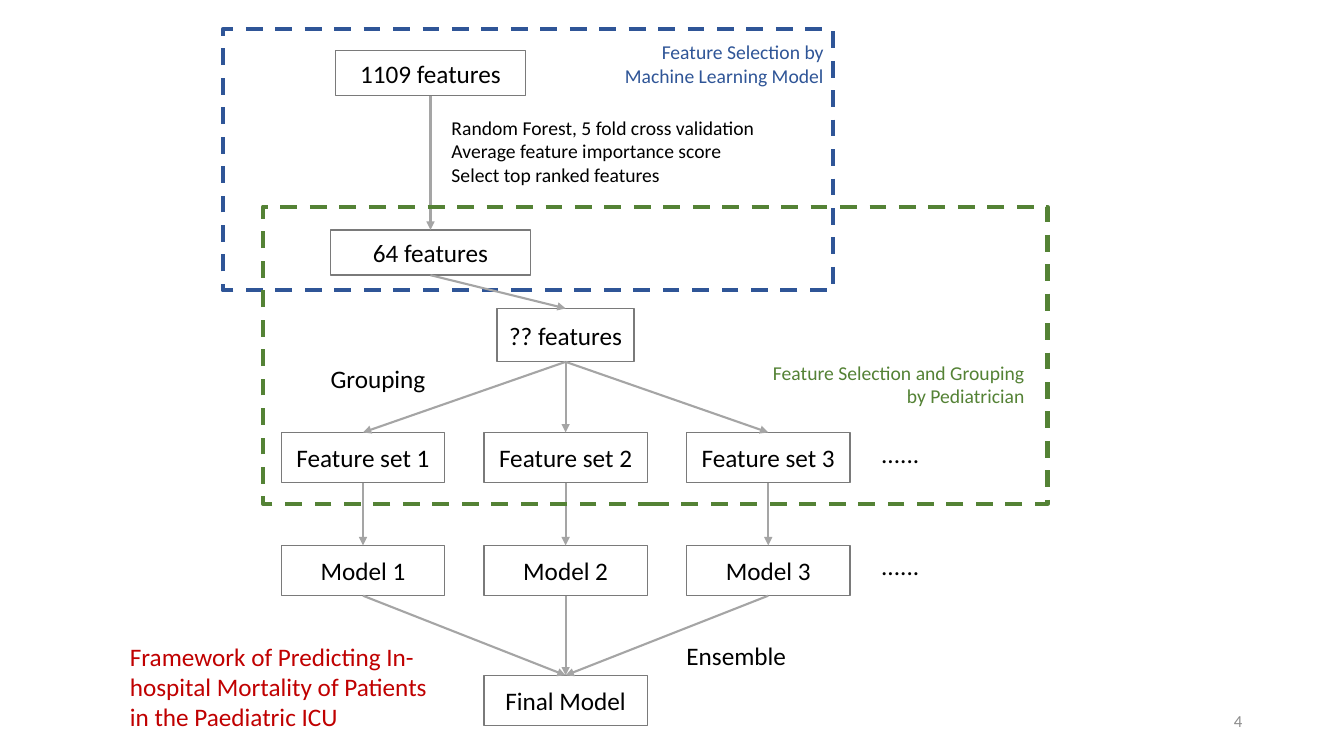
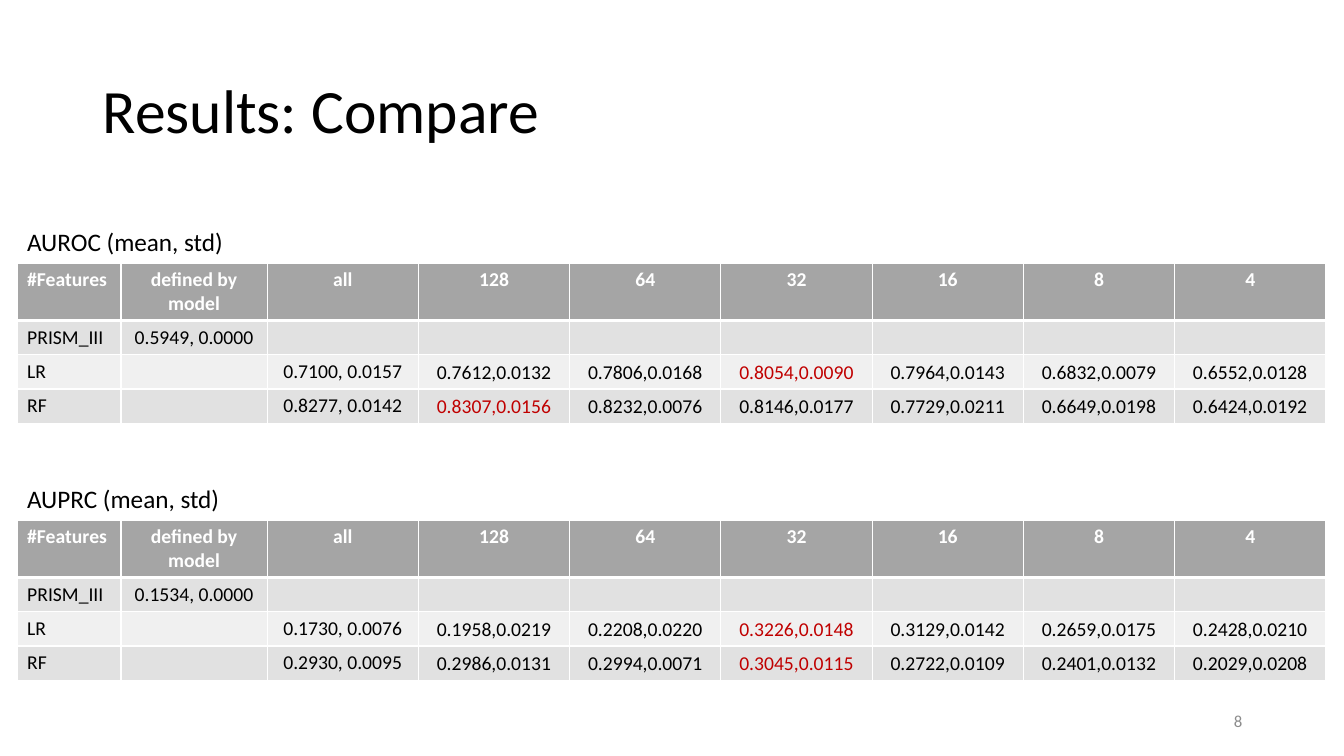
"""Build the framework diagram and the results comparison slide."""
from dataclasses import dataclass

from lxml import etree
from pptx import Presentation
from pptx.dml.color import RGBColor
from pptx.enum.dml import MSO_LINE
from pptx.enum.shapes import MSO_CONNECTOR, MSO_SHAPE
from pptx.enum.text import MSO_ANCHOR, MSO_AUTO_SIZE, PP_ALIGN
from pptx.oxml.ns import qn
from pptx.shapes.autoshape import Shape
from pptx.slide import Slide
from pptx.table import _Cell
from pptx.text.text import TextFrame, _Paragraph
from pptx.util import Inches, Pt

LEFT, CENTER, RIGHT = PP_ALIGN.LEFT, PP_ALIGN.CENTER, PP_ALIGN.RIGHT
TOP, MIDDLE = MSO_ANCHOR.TOP, MSO_ANCHOR.MIDDLE
RECTANGLE, STRAIGHT, DASH = MSO_SHAPE.RECTANGLE, MSO_CONNECTOR.STRAIGHT, MSO_LINE.DASH
FIT_SHAPE = MSO_AUTO_SIZE.SHAPE_TO_FIT_TEXT
TOP_SIDE, BOTTOM_SIDE = 0, 2

FONT = "Calibri"
COLORS = {
    "text": "000000",
    "white": "FFFFFF",
    "blue": "2F5597",
    "green": "548235",
    "red": "C00000",
    "outline": "7A7A7A",
    "gray": "A5A5A5",
    "footer": "8C8C8C",
    "odd_row": "E1E1E1",
    "even_row": "F0F0F0",
}

BRANCH_CENTERS = [3.6 + 2.01 * i for i in range(3)]
MAIN_CENTER = BRANCH_CENTERS[1]
START_CENTER = 4.27
BRANCH_WIDTH, BRANCH_HEIGHT = 1.62, 0.5

COLUMN_WIDTHS = [1.03, 1.45] + [1.5] * 7
HEADER = ["#Features", "defined by model", "all", "128", "64", "32", "16", "8", "4"]
HEADER_HEIGHT, ROW_HEIGHT = 0.57, 0.34
FIRST_TIGHT_COLUMN = 3


@dataclass(frozen=True)
class Label:
    """Free text with its place and style."""
    left: float
    top: float
    width: float
    height: float
    lines: tuple[str, ...]
    size: int = 18
    color: str = "text"
    align: PP_ALIGN = LEFT
    wrap: bool = False


@dataclass(frozen=True)
class Frame:
    """Dashed outline around one stage of the framework."""
    left: float
    top: float
    width: float
    height: float
    color: str


@dataclass(frozen=True)
class Score:
    """Caption, rows and best cells of one metric."""
    caption: str
    top: float
    width: float
    rows: tuple[tuple[str, ...], ...]
    best: tuple[tuple[int, int], ...]


ML_FRAME = Frame(2.21, 0.29, 6.05, 2.59, "blue")
PEDIATRICIAN_FRAME = Frame(2.61, 2.05, 7.78, 2.95, "green")

FRAMEWORK_LABELS = [
    Label(4.38, 1.1, 3.24, 0.81, (
        "Random Forest, 5 fold cross validation",
        "Average feature importance score",
        "Select top ranked features"), 14),
    Label(5.8, 0.35, 2.47, 0.57, ("Feature Selection by Machine Learning Model",),
          14, "blue", RIGHT, True),
    Label(3.18, 3.56, 1.16, 0.4, ("Grouping",)),
    Label(8.64, 4.3, 0.58, 0.4, ("......",)),
    Label(8.64, 5.41, 0.58, 0.4, ("......",)),
    Label(6.71, 6.3, 1.2, 0.4, ("Ensemble",)),
    Label(7.48, 3.53, 2.78, 0.57, ("Feature Selection and Grouping by Pediatrician",),
          14, "green", RIGHT, True),
    Label(1.19, 6.31, 3.3, 1.01, (
        "Framework of Predicting In-hospital Mortality of Patients in the Paediatric ICU",),
        18, "red", LEFT, True),
]

SCORES = [
    Score("AUROC (mean, std)", 2.2, 2.22, (
        ("PRISM_III", "0.5949, 0.0000", "", "", "", "", "", "", ""),
        ("LR", "", "0.7100, 0.0157", "0.7612,0.0132", "0.7806,0.0168", "0.8054,0.0090",
         "0.7964,0.0143", "0.6832,0.0079", "0.6552,0.0128"),
        ("RF", "", "0.8277, 0.0142", "0.8307,0.0156", "0.8232,0.0076", "0.8146,0.0177",
         "0.7729,0.0211", "0.6649,0.0198", "0.6424,0.0192"),
    ), ((2, 5), (3, 3))),
    Score("AUPRC (mean, std)", 4.75, 2.19, (
        ("PRISM_III", "0.1534, 0.0000", "", "", "", "", "", "", ""),
        ("LR", "", "0.1730, 0.0076", "0.1958,0.0219", "0.2208,0.0220", "0.3226,0.0148",
         "0.3129,0.0142", "0.2659,0.0175", "0.2428,0.0210"),
        ("RF", "", "0.2930, 0.0095", "0.2986,0.0131", "0.2994,0.0071", "0.3045,0.0115",
         "0.2722,0.0109", "0.2401,0.0132", "0.2029,0.0208"),
    ), ((2, 5), (3, 5))),
]


def rgb(name: str) -> RGBColor:
    """Return the named colour."""
    return RGBColor.from_string(COLORS[name])


def write_run(paragraph: _Paragraph, text: str, size: int, color: str,
              bold: bool = False) -> None:
    """Add one styled run to a paragraph."""
    run = paragraph.add_run()
    run.text = text
    run.font.name = FONT
    run.font.size = Pt(size)
    run.font.bold = bold
    run.font.color.rgb = rgb(color)


def add_label(slide: Slide, label: Label) -> TextFrame:
    """Draw free text and return its frame."""
    box = slide.shapes.add_textbox(Inches(label.left), Inches(label.top),
                                   Inches(label.width), Inches(label.height))
    frame = box.text_frame
    frame.word_wrap = label.wrap
    frame.auto_size = FIT_SHAPE
    for index, line in enumerate(label.lines):
        paragraph = frame.add_paragraph() if index else frame.paragraphs[0]
        paragraph.alignment = label.align
        write_run(paragraph, line, label.size, label.color)
    return frame


def add_centered_label(slide: Slide, label: Label) -> TextFrame:
    """Draw text anchored to the middle of a box of fixed size."""
    frame = add_label(slide, label)
    frame.auto_size = MSO_AUTO_SIZE.NONE
    frame.vertical_anchor = MIDDLE
    return frame


def add_page_number(slide: Slide, number: int) -> None:
    """Draw the slide number in the footer."""
    add_centered_label(slide, Label(9.42, 6.95, 3, 0.4, (str(number),),
                                    12, "footer", RIGHT, True))


def add_outline(slide: Slide, left: float, top: float, width: float, height: float,
                color: str, weight: float) -> Shape:
    """Draw an unfilled rectangle."""
    outline = slide.shapes.add_shape(RECTANGLE, Inches(left), Inches(top),
                                     Inches(width), Inches(height))
    outline.shadow.inherit = False
    outline.fill.background()
    outline.line.color.rgb = rgb(color)
    outline.line.width = Pt(weight)
    return outline


def add_frame(slide: Slide, stage: Frame) -> None:
    """Draw the dashed outline of a stage."""
    outline = add_outline(slide, stage.left, stage.top, stage.width, stage.height,
                          stage.color, 3)
    outline.line.dash_style = DASH


def add_step(slide: Slide, text: str, center: float, top: float,
             width: float = BRANCH_WIDTH, height: float = BRANCH_HEIGHT) -> Shape:
    """Draw a labelled step centred on a vertical axis."""
    step = add_outline(slide, center - width / 2, top, width, height, "outline", 1)
    frame = step.text_frame
    frame.word_wrap = True
    frame.vertical_anchor = MIDDLE
    frame.paragraphs[0].alignment = CENTER
    write_run(frame.paragraphs[0], text, 18, "text")
    return step


def add_arrow(slide: Slide, source: Shape, target: Shape) -> None:
    """Join the bottom of one step to the top of the next."""
    arrow = slide.shapes.add_connector(STRAIGHT, 0, 0, 0, 0)
    arrow.begin_connect(source, BOTTOM_SIDE)
    arrow.end_connect(target, TOP_SIDE)
    arrow.line.color.rgb = rgb("gray")
    arrow.line.width = Pt(1.5)
    etree.SubElement(arrow.line._get_or_add_ln(), qn("a:tailEnd"), type="triangle")
    etree.SubElement(arrow._element.spPr, qn("a:effectLst"))


def set_borders(cell: _Cell, row: int) -> None:
    """Give a cell white borders, thicker under the header."""
    weights = {"L": 1, "R": 1, "T": 3 if row == 1 else 1, "B": 3 if row == 0 else 1}
    properties = cell._tc.get_or_add_tcPr()
    for side, weight in weights.items():
        border = etree.SubElement(properties, qn(f"a:ln{side}"), w=str(Pt(weight)))
        fill = etree.SubElement(border, qn("a:solidFill"))
        etree.SubElement(fill, qn("a:srgbClr"), val=COLORS["white"])


def fill_cell(cell: _Cell, text: str, row: int, column: int, best: bool) -> None:
    """Style one table cell and write its text."""
    is_header, is_score = row == 0, row > 0 and column > 0
    set_borders(cell, row)
    cell.fill.solid()
    cell.fill.fore_color.rgb = rgb("gray" if is_header else "odd_row" if row % 2 else "even_row")
    cell.vertical_anchor = MIDDLE if is_score else TOP
    paragraph = cell.text_frame.paragraphs[0]
    paragraph.alignment = CENTER if column else LEFT
    if not text:
        etree.SubElement(paragraph._p, qn("a:endParaRPr"), sz="1400")
        return
    if is_score and column >= FIRST_TIGHT_COLUMN:
        cell.margin_left = cell.margin_right = cell.margin_top = Inches(0.01)
        cell.margin_bottom = 0
    color = "white" if is_header else "red" if best else "text"
    write_run(paragraph, text, 14, color, is_header)


def add_score_table(slide: Slide, score: Score) -> None:
    """Draw one metric's caption and table."""
    add_label(slide, Label(0.17, score.top, score.width, 0.4, (score.caption,)))
    rows = [HEADER, *score.rows]
    heights = [HEADER_HEIGHT] + [ROW_HEIGHT] * len(score.rows)
    table = slide.shapes.add_table(len(rows), len(HEADER), Inches(0.17),
                                   Inches(score.top + 0.41), Inches(sum(COLUMN_WIDTHS)),
                                   Inches(sum(heights))).table
    for column, width in zip(table.columns, COLUMN_WIDTHS):
        column.width = Inches(width)
    for row, height in zip(table.rows, heights):
        row.height = Inches(height)
    for r, texts in enumerate(rows):
        for c, text in enumerate(texts):
            fill_cell(table.cell(r, c), text, r, c, (r, c) in score.best)


def build_framework(slide: Slide) -> None:
    """Draw the prediction framework."""
    add_frame(slide, ML_FRAME)
    all_features = add_step(slide, "1109 features", START_CENTER, 0.5, 1.88, 0.45)
    top_features = add_step(slide, "64 features", START_CENTER, 2.28, 1.98, 0.45)
    chosen_features = add_step(slide, "?? features", MAIN_CENTER, 3.06, 1.36, 0.53)
    final_model = add_step(slide, "Final Model", MAIN_CENTER, 6.7)
    add_arrow(slide, all_features, top_features)
    add_arrow(slide, top_features, chosen_features)
    for number, center in enumerate(BRANCH_CENTERS, start=1):
        feature_set = add_step(slide, f"Feature set {number}", center, 4.29)
        model = add_step(slide, f"Model {number}", center, 5.41)
        add_arrow(slide, chosen_features, feature_set)
        add_arrow(slide, feature_set, model)
        add_arrow(slide, model, final_model)
    add_frame(slide, PEDIATRICIAN_FRAME)
    for label in FRAMEWORK_LABELS:
        add_label(slide, label)
    add_page_number(slide, 4)


def build_results(slide: Slide) -> None:
    """Draw the comparison of the models."""
    title = add_centered_label(slide, Label(0.92, 0.4, 11.5, 1.45, ("Results: Compare",),
                                            44, wrap=True))
    title.paragraphs[0].line_spacing = 0.9
    for score in SCORES:
        add_score_table(slide, score)
    add_page_number(slide, 8)


def main() -> None:
    """Build and save the presentation."""
    presentation = Presentation()
    presentation.slide_width, presentation.slide_height = Inches(13.33), Inches(7.5)
    blank = presentation.slide_layouts[6]
    for build in (build_framework, build_results):
        build(presentation.slides.add_slide(blank))
    presentation.save("out.pptx")


if __name__ == "__main__":
    main()
